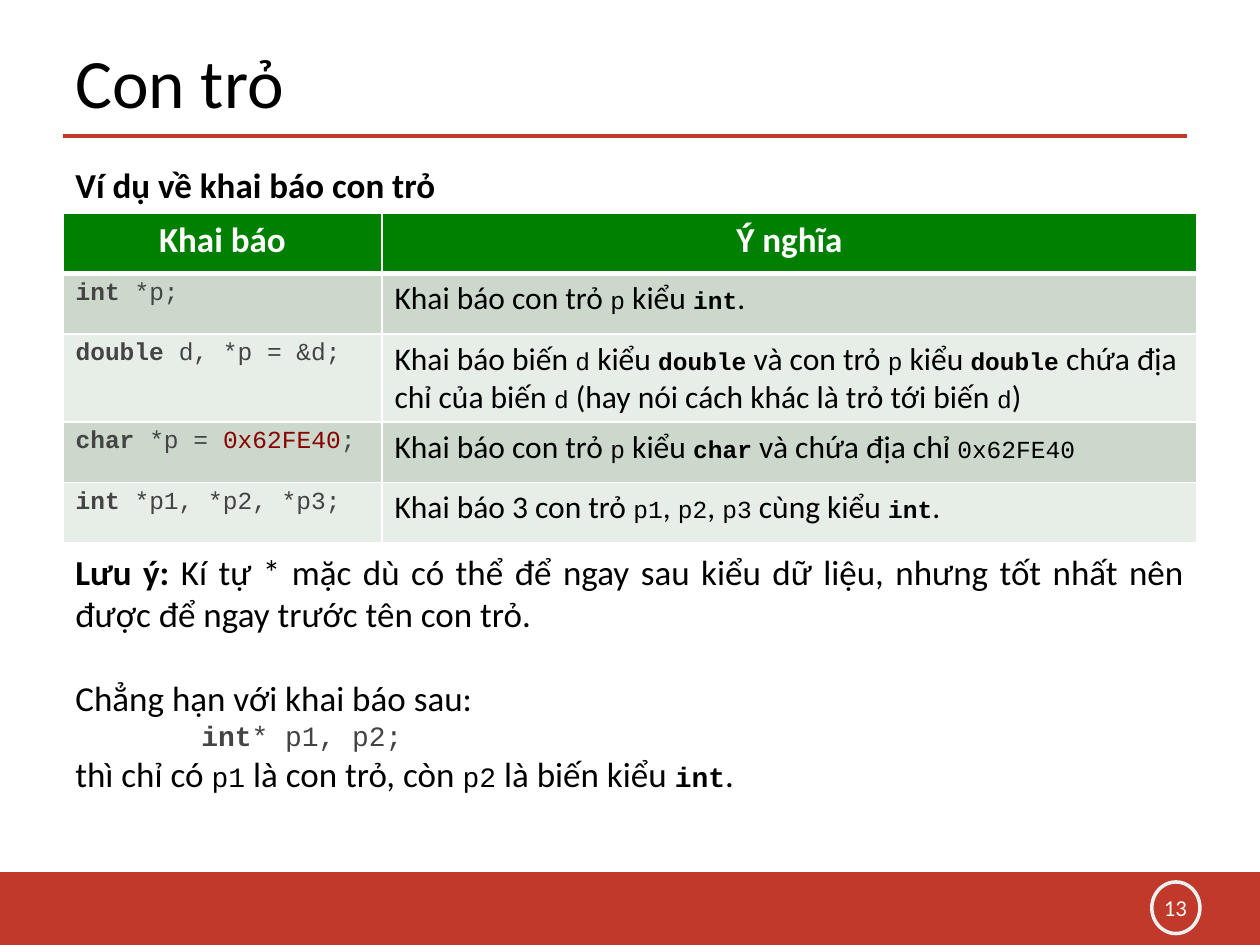
from lxml import etree
from pptx import Presentation
from pptx.dml.color import RGBColor
from pptx.enum import shapes, text
from pptx.oxml import ns
from pptx.util import Cm, Pt

RED = RGBColor(0xC0, 0x39, 0x2B)
PALE = RGBColor(0xEC, 0xF0, 0xF1)
NUMBER = RGBColor(0xFA, 0xFC, 0xFC)
GREEN = RGBColor(0x00, 0x80, 0x00)
BANDS = [RGBColor(0xCC, 0xD8, 0xCC), RGBColor(0xE7, 0xED, 0xE7)]
BLACK = RGBColor(0, 0, 0)
WHITE = RGBColor(0xFF, 0xFF, 0xFF)
GREY = RGBColor(0x44, 0x44, 0x44)
DARK_RED = RGBColor(0x88, 0x00, 0x00)

SANS, MONO = "Calibri", "Courier New"

# Style name: font, bold, colour
STYLES = {
    "plain": (SANS, False, BLACK),
    "strong": (SANS, True, BLACK),
    "head": (SANS, True, WHITE),
    "number": (SANS, False, NUMBER),
    "name": (MONO, False, BLACK),
    "type": (MONO, True, BLACK),
    "code": (MONO, False, GREY),
    "keyword": (MONO, True, GREY),
    "literal": (MONO, False, DARK_RED),
}


def name(words):
    return words, "name"


def kind(words):
    return words, "type"


def keyword(words):
    return words, "keyword"


def code(words):
    return words, "code"


# A paragraph is a list of spans: a string is plain, a pair carries its style
HEADINGS = ["Khai báo", "Ý nghĩa"]
DECLARATIONS = [
    ([keyword("int"), code(" *p;")],
     ["Khai báo con trỏ ", name("p"), " kiểu ", kind("int"), "."]),
    ([keyword("double"), code(" d, *p = &d;")],
     ["Khai báo biến ", name("d"), " kiểu ", kind("double"), " và con trỏ ",
      name("p"), " kiểu ", kind("double"), " chứa địa chỉ của biến ", name("d"),
      " (hay nói cách khác là trỏ tới biến ", name("d"), ")"]),
    ([keyword("char"), code(" *p = "), ("0x62FE40", "literal"), code(";")],
     ["Khai báo con trỏ ", name("p"), " kiểu ", kind("char"),
      " và chứa địa chỉ ", name("0x62FE40")]),
    ([keyword("int"), code(" *p1, *p2, *p3;")],
     ["Khai báo 3 con trỏ ", name("p1"), ", ", name("p2"), ", ", name("p3"),
      " cùng kiểu ", kind("int"), "."]),
]
NOTE = [
    [("Lưu ý:", "strong"),
     " Kí tự * mặc dù có thể để ngay sau kiểu dữ liệu, nhưng tốt nhất nên "
     "được để ngay trước tên con trỏ."],
    ["Chẳng hạn với khai báo sau:"],
    [keyword("int"), code("* p1, p2;")],
    ["thì chỉ có ", name("p1"), " là con trỏ, còn ", name("p2"),
     " là biến kiểu ", kind("int"), "."],
]

LEFT, WIDTH = 1.27, 22.86
TABLE_TOP = 4.29
COLUMNS = [6.43, 16.43]
ROWS = [1.22, 1.22, 1.78, 1.22, 1.22]


def write(para, spans, size, mono_size=None, align=text.PP_ALIGN.LEFT):
    para.alignment = align
    for item in spans:
        words, style = (item, "plain") if isinstance(item, str) else item
        font_name, bold, colour = STYLES[style]
        span = para.add_run()
        span.text = words
        span.font.name = font_name
        span.font.size = Pt(mono_size if font_name == MONO else size)
        span.font.bold = bold
        span.font.color.rgb = colour


def add_text(page, left, top, width, height, paragraphs, size, mono_size=None,
             align=text.PP_ALIGN.LEFT, anchor=text.MSO_ANCHOR.TOP):
    box = page.shapes.add_textbox(Cm(left), Cm(top), Cm(width), Cm(height))
    frame = box.text_frame
    frame.word_wrap = True
    frame.vertical_anchor = anchor
    for index, spans in enumerate(paragraphs):
        para = frame.add_paragraph() if index else frame.paragraphs[0]
        write(para, spans, size, mono_size, align)
    return frame


def add_shape(page, preset, left, top, width, height):
    shape = page.shapes.add_shape(preset, Cm(left), Cm(top), Cm(width), Cm(height))
    shape.shadow.inherit = False
    return shape


def set_borders(cell, **widths):
    """White cell borders; the keywords L, R, T and B give widths in points."""
    properties = cell._tc.get_or_add_tcPr()
    for side, width in widths.items():
        line = etree.SubElement(properties, ns.qn("a:ln" + side), w=str(Pt(width)))
        fill = etree.SubElement(line, ns.qn("a:solidFill"))
        etree.SubElement(fill, ns.qn("a:srgbClr"), val=str(WHITE))


def add_frame(page):
    """Title rule, footer band and page number."""
    rule = page.shapes.add_connector(shapes.MSO_CONNECTOR.STRAIGHT,
                                     Cm(LEFT), Cm(2.74), Cm(23.93), Cm(2.74))
    rule.line.color.rgb = RED
    rule.line.width = Pt(2.25)
    etree.SubElement(rule._element.spPr, ns.qn("a:effectLst"))

    band = add_shape(page, shapes.MSO_SHAPE.RECTANGLE, 0, 17.58, 25.4, 1.47)
    band.fill.solid()
    band.fill.fore_color.rgb = RED
    band.line.fill.background()

    ring = add_shape(page, shapes.MSO_SHAPE.OVAL, 23.22, 17.78, 0.97, 1.04)
    ring.fill.background()
    ring.line.color.rgb = PALE
    ring.line.width = Pt(2)
    add_text(page, 23.06, 17.88, 1.27, 0.81, [[("13", "number")]], 13,
             align=text.PP_ALIGN.CENTER, anchor=text.MSO_ANCHOR.MIDDLE)


def add_declarations(page):
    table = page.shapes.add_table(len(ROWS), len(COLUMNS), Cm(LEFT), Cm(TABLE_TOP),
                                  Cm(WIDTH), Cm(sum(ROWS))).table
    for column, width in zip(table.columns, COLUMNS):
        column.width = Cm(width)
    for row, height in zip(table.rows, ROWS):
        row.height = Cm(height)

    heading_row = [[(words, "head")] for words in HEADINGS]
    for r, contents in enumerate([heading_row, *DECLARATIONS]):
        for c, spans in enumerate(contents):
            cell = table.cell(r, c)
            set_borders(cell, L=1, R=1, T=3 if r == 1 else 1, B=1 if r else 3)
            cell.fill.solid()
            cell.fill.fore_color.rgb = BANDS[(r - 1) % 2] if r else GREEN
            align = text.PP_ALIGN.LEFT if r else text.PP_ALIGN.CENTER
            write(cell.text_frame.paragraphs[0], spans, 18 if r else 20, 14, align)


def main():
    deck = Presentation()
    deck.slide_width, deck.slide_height = Cm(25.4), Cm(19.05)
    page = deck.slides.add_slide(deck.slide_layouts[6])

    add_frame(page)
    add_text(page, LEFT, 0.76, 20.32, 1.75, [["Con trỏ"]], 39.6,
             anchor=text.MSO_ANCHOR.MIDDLE)
    add_text(page, LEFT, 3.18, WIDTH, 1.12,
             [[("Ví dụ về khai báo con trỏ", "strong")]], 20)
    add_declarations(page)

    note = add_text(page, LEFT, 10.97, WIDTH, 5.99, NOTE, 20, 16,
                    align=text.PP_ALIGN.JUSTIFY)
    example, sample = note.paragraphs[1:3]
    example.space_before = Pt(24)
    sample.alignment = text.PP_ALIGN.LEFT
    sample._p.get_or_add_pPr().set("marL", str(Cm(2.54)))

    deck.save("out.pptx")


if __name__ == "__main__":
    main()
